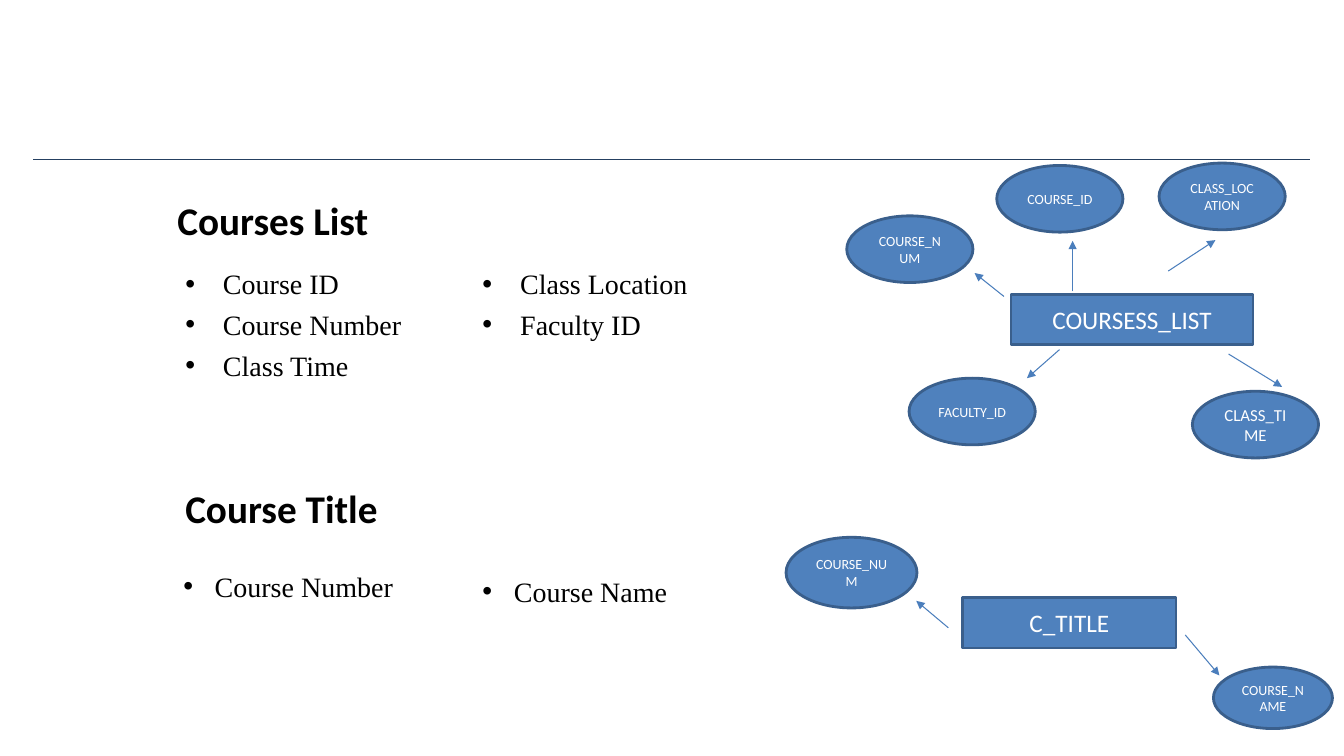
from lxml.etree import SubElement
from pptx import Presentation
from pptx.dml.color import RGBColor
from pptx.enum.shapes import MSO_CONNECTOR, MSO_SHAPE
from pptx.enum.text import MSO_ANCHOR, PP_ALIGN
from pptx.oxml.ns import qn
from pptx.util import Cm, Pt

COLORS = {
    "ink": "000000",
    "white": "FFFFFF",
    "fill": "4F81BD",
    "edge": "3A5F8C",
    "arrow": "4B7EBC",
    "rule": "254061",
}
HEAD = {"name": "Calibri", "size": Pt(28), "bold": True}
BODY = {"name": "Times New Roman", "size": Pt(20)}


def color(name):
    return RGBColor.from_string(COLORS[name])


def apply(target, values):
    for key, value in values.items():
        setattr(target, key, value)


class Deck:
    def __init__(self):
        self.show = Presentation()
        apply(self.show, {"slide_width": Cm(33.87), "slide_height": Cm(19.05)})
        self.slide = self.show.slides.add_slide(self.show.slide_layouts[6])

    def label(self, para, text, style, tint):
        run = para.add_run()
        run.text = text
        apply(run.font, style)
        run.font.color.rgb = color(tint)

    def frame(self, box, anchor):
        frame = self.slide.shapes.add_textbox(*map(Cm, box)).text_frame
        apply(frame, {"word_wrap": True, "vertical_anchor": anchor})
        return frame

    def title(self, text, box, anchor):
        frame = self.frame(box, anchor)
        self.label(frame.paragraphs[0], text, HEAD, "ink")

    def bullets(self, items, box, indent):
        frame = self.frame(box, MSO_ANCHOR.TOP)
        for i, item in enumerate(items):
            para = frame.add_paragraph() if i else frame.paragraphs[0]
            para.space_before = Pt(5 if i else 0)
            props = para._p.get_or_add_pPr()
            props.set("marL", str(Cm(indent)))
            props.set("indent", str(-Cm(indent)))
            SubElement(props, qn("a:buFont"), typeface="Arial")
            SubElement(props, qn("a:buChar"), char="•")
            self.label(para, item, BODY, "ink")

    def line(self, ends, tint, arrow=True):
        link = self.slide.shapes.add_connector(
            MSO_CONNECTOR.STRAIGHT, *map(Cm, ends))
        link.line.color.rgb = color(tint)
        link.line.width = Pt(0.75)
        if arrow:
            SubElement(link.line._get_or_add_ln(), qn("a:tailEnd"), type="triangle")
        SubElement(link._element.spPr, qn("a:effectLst"))

    def node(self, kind, text, box, size):
        shape = self.slide.shapes.add_shape(kind, *map(Cm, box))
        shape.shadow.inherit = False
        shape.fill.solid()
        shape.fill.fore_color.rgb = color("fill")
        shape.line.color.rgb = color("edge")
        shape.line.width = Pt(2)
        frame = shape.text_frame
        apply(frame, {"word_wrap": True, "vertical_anchor": MSO_ANCHOR.MIDDLE})
        para = frame.paragraphs[0]
        para.alignment = PP_ALIGN.CENTER
        self.label(para, text, {"name": "Calibri", "size": Pt(size)}, "white")

    def table(self, text, box):
        self.node(MSO_SHAPE.RECTANGLE, text, box, 18)

    def field(self, text, left, top, width=3.18, height=1.68, size=10):
        self.node(MSO_SHAPE.OVAL, text, (left, top, width, height), size)


def main():
    deck = Deck()
    deck.line((0.84, 4.01, 33.02, 4.01), "rule", arrow=False)

    deck.title("Courses List", (4.22, 3.94, 18.97, 3.18), MSO_ANCHOR.MIDDLE)
    deck.title("Course Title", (4.42, 12.07, 10.85, 1.45), MSO_ANCHOR.BOTTOM)

    for items, box, indent in (
        (("Course ID", "Course Number", "Class Time"), (4.42, 6.6, 12.29, 4.88), 0.95),
        (("Class Location", "Faculty ID"), (11.91, 6.6, 12.29, 8.61), 0.95),
        (("Course Number",), (4.37, 14.22, 6.12, 1.12), 0.79),
        (("Course Name",), (11.91, 14.35, 5.46, 1.12), 0.79),
    ):
        deck.bullets(items, box, indent)

    for ends in (
        (23.9, 15.82, 23.09, 15.14),
        (29.87, 16, 30.73, 17.02),
        (27.03, 7.34, 27.03, 6.07),
        (29.44, 6.83, 30.63, 6.05),
        (25.3, 7.47, 24.56, 6.88),
        (26.7, 8.81, 25.88, 9.53),
        (30.96, 8.92, 32.31, 9.75),
    ):
        deck.line(ends, "arrow")

    deck.table("COURSESS_LIST", (25.48, 7.42, 6.1, 1.27))
    for text, left, top in (
        ("COURSE_ID", 25.12, 4.17),
        ("CLASS_LOCATION", 29.21, 4.11),
        ("COURSE_NUM", 21.34, 5.44),
        ("FACULTY_ID", 22.91, 9.53),
    ):
        deck.field(text, left, top)
    deck.field("CLASS_TIME", 30.05, 9.86, size=12)

    deck.table("C_TITLE", (24.26, 15.06, 5.38, 1.27))
    deck.field("COURSE_NUM", 19.81, 13.54, 3.3, 1.78)
    deck.field("COURSE_NAME", 30.58, 16.81, 3, 1.55)

    deck.show.save("out.pptx")


if __name__ == "__main__":
    main()
